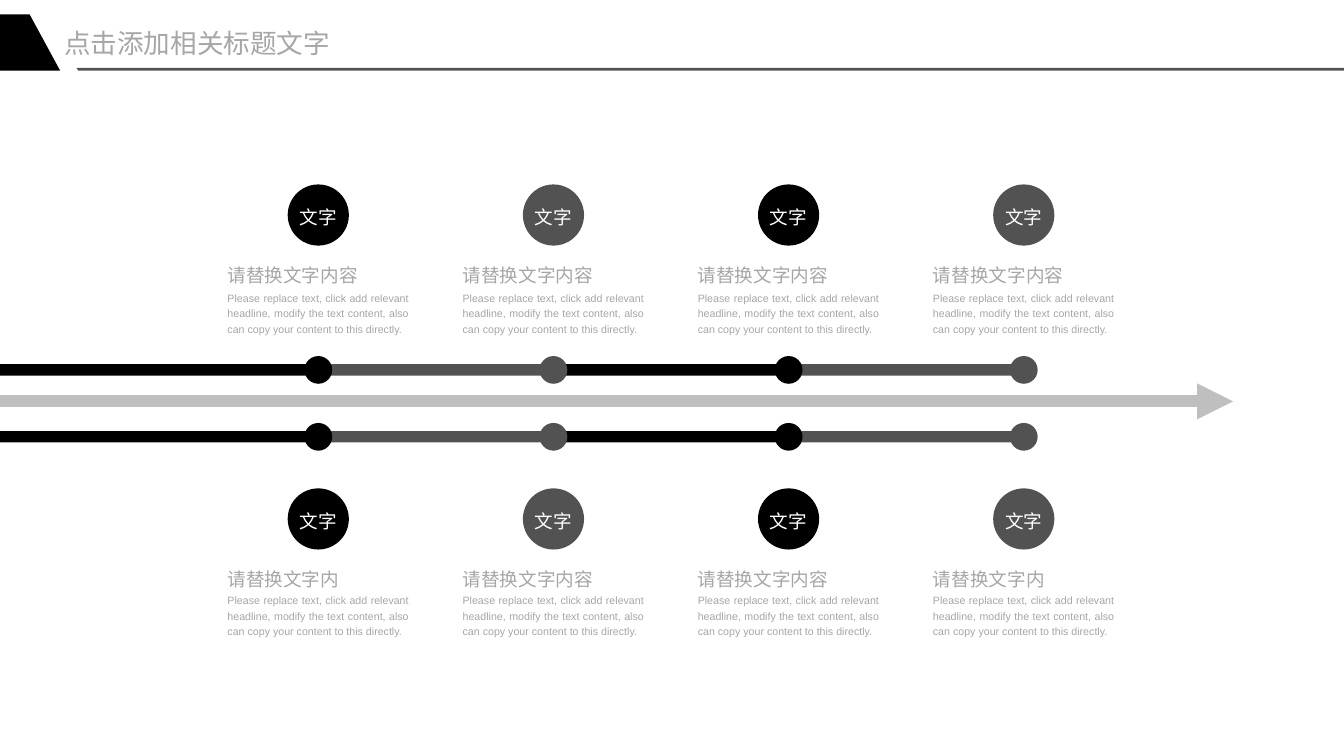
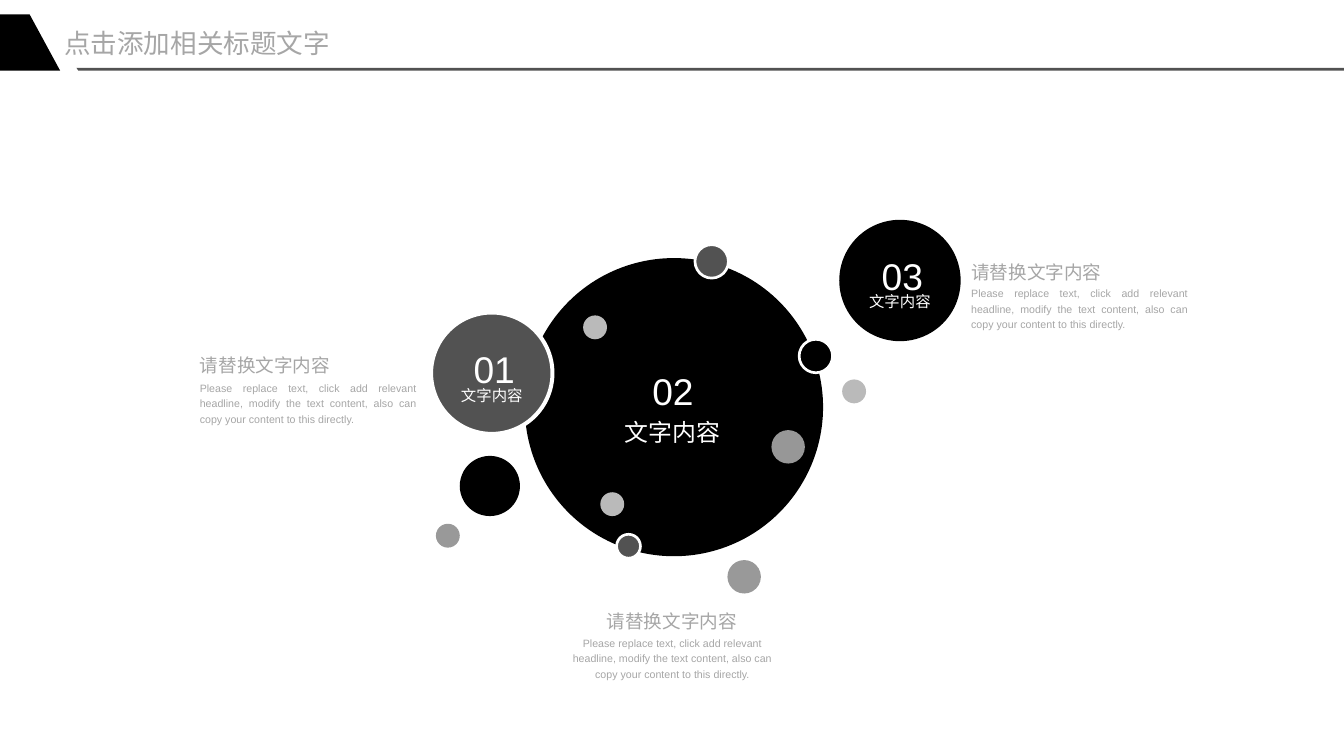
from dataclasses import dataclass

from lxml.etree import SubElement
from pptx import Presentation
from pptx.dml.color import RGBColor
from pptx.enum.shapes import MSO_CONNECTOR, MSO_SHAPE as SHAPE
from pptx.enum.text import MSO_ANCHOR as ANCHOR, MSO_AUTO_SIZE, PP_ALIGN as ALIGN
from pptx.oxml.ns import qn
from pptx.util import Inches, Pt

WIDTH, HEIGHT = 14.06, 7.91
BLACK, DARK, WHITE = "000000", "525252", "FFFFFF"
TEXT, ARROW, LIGHT, MID = "A6A6A6", "BFBFBF", "BABABA", "999999"
FONT = "Arial"
TITLE = "点击添加相关标题文字"
HEADING = "请替换文字内容"
SHORT_HEADING = "请替换文字内"
BODY = ("Please replace text, click add relevant headline, modify the text content, "
        "also can copy your content to this directly.")
PITCH = 2.46
COLUMN_COLORS = [BLACK, DARK, BLACK, DARK]


@dataclass
class TimelineRow:
    """One track of the timeline with its badges and notes."""
    track_y: float
    badge_y: float
    heading_y: float
    body_y: float
    headings: list[str]


@dataclass
class Bubble:
    """A circle given by its top left corner and diameter."""
    x: float
    y: float
    d: float
    fill: str
    outline: float = 0


@dataclass
class Topic:
    """A numbered label inside a bubble and the note beside it."""
    number: str
    number_at: tuple[float, float]
    label_at: tuple[float, float]
    note_at: tuple[float, float]
    body_at: tuple[float, float]
    label_height: float = 0.21
    label_size: float = 11.6
    align: ALIGN = ALIGN.JUSTIFY


ROWS = [
    TimelineRow(3.87, 1.93, 2.72, 3.03, [HEADING] * 4),
    TimelineRow(4.57, 5.11, 5.9, 6.19, [SHORT_HEADING, HEADING, HEADING, SHORT_HEADING]),
]
BUBBLES = [
    Bubble(5.49, 2.7, 3.12, BLACK),
    Bubble(7.27, 2.56, 0.35, DARK, 2),
    Bubble(6.45, 5.59, 0.25, DARK, 2),
    Bubble(8.81, 3.97, 0.25, LIGHT),
    Bubble(7.61, 5.86, 0.35, MID),
    Bubble(6.1, 3.3, 0.25, LIGHT),
    Bubble(4.51, 3.27, 1.27, DARK, 3),
    Bubble(8.07, 4.5, 0.35, "979797"),
    Bubble(4.81, 4.77, 0.63, BLACK),
    Bubble(8.78, 2.3, 1.27, BLACK),
    Bubble(8.36, 3.55, 0.35, BLACK, 2),
    Bubble(4.56, 5.48, 0.25, MID),
    Bubble(6.28, 5.15, 0.25, LIGHT),
]
TOPICS = [
    Topic("01", (4.84, 3.53), (4.59, 4.01), (2.09, 3.66), (2.09, 3.97)),
    Topic("02", (6.71, 3.76), (6.48, 4.33), (6.17, 6.33), (5.9, 6.64), 0.33, 18, ALIGN.CENTER),
    Topic("03", (9.11, 2.56), (8.86, 3.03), (10.16, 2.68), (10.16, 2.98)),
]


def rgb(color: str) -> RGBColor:
    """Turn a hex string into a colour."""
    return RGBColor.from_string(color)


def write(sp, text: str, *, size: float, color: str = TEXT, align=ALIGN.JUSTIFY,
          anchor=ANCHOR.TOP, spacing: float = 1.2) -> None:
    """Put one formatted paragraph into a shape."""
    tf = sp.text_frame
    tf.word_wrap = True
    tf.auto_size = MSO_AUTO_SIZE.NONE
    tf.vertical_anchor = anchor
    tf.margin_left = tf.margin_right = tf.margin_top = tf.margin_bottom = 0
    p = tf.paragraphs[0]
    p.alignment = align
    p.line_spacing = spacing
    p.space_before = Pt(0)
    r = p.add_run()
    r.text = text
    r.font.name = FONT
    r.font.size = Pt(size)
    r.font.color.rgb = rgb(color)


def add_text(s, text: str, x: float, y: float, w: float, h: float, **fmt) -> None:
    """Add a text box."""
    write(s.shapes.add_textbox(Inches(x), Inches(y), Inches(w), Inches(h)), text, **fmt)


def paint(sp, fill: str, outline: float = 0) -> None:
    """Give a shape a flat fill and an optional white outline."""
    sp.shadow.inherit = False
    sp.fill.solid()
    sp.fill.fore_color.rgb = rgb(fill)
    if outline:
        sp.line.color.rgb = rgb(WHITE)
        sp.line.width = Pt(outline)
    else:
        sp.line.fill.background()


def add_shape(s, kind, x: float, y: float, w: float, h: float, fill: str, outline: float = 0):
    """Add a painted preset shape."""
    sp = s.shapes.add_shape(kind, Inches(x), Inches(y), Inches(w), Inches(h))
    paint(sp, fill, outline)
    return sp


def add_polygon(s, points: list[tuple[float, float]], fill: str) -> None:
    """Add a closed painted outline."""
    start, *rest = [(Inches(x), Inches(y)) for x, y in points]
    builder = s.shapes.build_freeform(*start)
    builder.add_line_segments(rest, close=True)
    paint(builder.convert_to_shape(), fill)


def add_arrow(s, x1: float, x2: float, y: float, color: str, width: float) -> None:
    """Add a horizontal arrow pointing right."""
    line = s.shapes.add_connector(MSO_CONNECTOR.STRAIGHT, Inches(x1), Inches(y),
                                  Inches(x2), Inches(y))
    line.line.color.rgb = rgb(color)
    line.line.width = Pt(width)
    props = line._element.spPr
    SubElement(props.find(qn("a:ln")), qn("a:tailEnd"), type="triangle")
    SubElement(props, qn("a:effectLst"))


def new_slide(prs):
    """Start a slide with the shared title and header band."""
    s = prs.slides.add_slide(prs.slide_layouts[5])
    add_polygon(s, [(0.8, 0.71), (WIDTH, 0.71), (WIDTH, 0.74), (0.82, 0.74)], DARK)
    add_polygon(s, [(0.31, 0.15), (0.63, 0.74), (0, 0.74), (0, 0.15)], BLACK)
    title = s.shapes.title
    title.left, title.top = Inches(0.67), Inches(0.28)
    title.width, title.height = Inches(3.35), Inches(0.34)
    write(title, TITLE, size=20, align=ALIGN.LEFT, spacing=1)
    return s


def add_track(s, y: float) -> None:
    """Draw bars and dots right to left, so each dot covers the next bar."""
    dot, bar = 0.29, 0.12
    centers = [3.33 + i * PITCH for i in range(len(COLUMN_COLORS))]
    starts = [0, *centers]
    for start, end, color in reversed(list(zip(starts, centers, COLUMN_COLORS))):
        add_shape(s, SHAPE.RECTANGLE, start, y - bar / 2, end - start, bar, color)
        add_shape(s, SHAPE.OVAL, end - dot / 2, y - dot / 2, dot, dot, color)


def add_timeline(prs) -> None:
    """Build the two-track timeline slide."""
    s = new_slide(prs)
    add_arrow(s, 0, 12.9, 4.2, ARROW, 9)
    for row in ROWS:
        add_track(s, row.track_y)
        for i, (heading, color) in enumerate(zip(row.headings, COLUMN_COLORS)):
            x = 2.38 + i * PITCH
            badge = add_shape(s, SHAPE.OVAL, x + 0.63, row.badge_y, 0.64, 0.64, color)
            write(badge, "文字", size=14, color=WHITE, align=ALIGN.CENTER, anchor=ANCHOR.MIDDLE)
            add_text(s, heading, x, row.heading_y, 1.43, 0.26, size=14)
            add_text(s, BODY, x, row.body_y, 1.9, 0.48, size=8)


def add_bubbles(prs) -> None:
    """Build the bubble slide with three topics."""
    s = new_slide(prs)
    for b in BUBBLES:
        add_shape(s, SHAPE.OVAL, b.x, b.y, b.d, b.d, b.fill, b.outline)
    for t in TOPICS:
        add_text(s, t.number, *t.number_at, 0.66, 0.51, size=28, color=WHITE,
                 align=ALIGN.CENTER)
        add_text(s, "文字内容", *t.label_at, 1.11, t.label_height, size=t.label_size,
                 color=WHITE, align=ALIGN.CENTER, anchor=ANCHOR.MIDDLE)
        add_text(s, HEADING, *t.note_at, 1.72, 0.28, size=14, align=t.align)
        add_text(s, BODY, *t.body_at, 2.27, 0.47, size=8, align=t.align)


def main() -> None:
    """Build and save the presentation."""
    prs = Presentation()
    prs.slide_width, prs.slide_height = Inches(WIDTH), Inches(HEIGHT)
    add_timeline(prs)
    add_bubbles(prs)
    prs.save("out.pptx")


if __name__ == "__main__":
    main()
